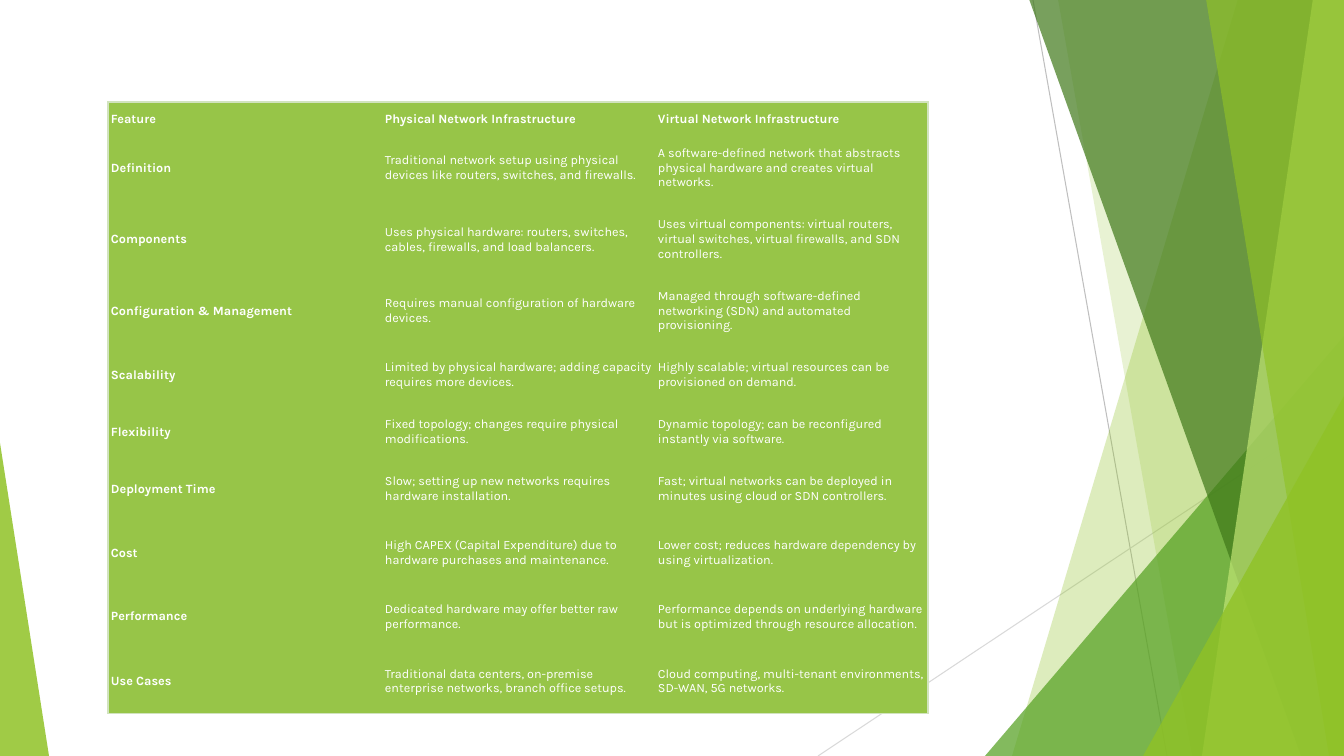
from lxml.etree import SubElement
from pptx import Presentation
from pptx.dml.color import RGBColor
from pptx.enum.shapes import MSO_CONNECTOR, MSO_SHAPE
from pptx.enum.text import MSO_ANCHOR
from pptx.oxml.ns import qn
from pptx.util import Pt

PX = 9071  # EMU per pixel, 100.8 pixels to the inch
W, H = 1344, 756
COLORS = {
    "lime": "90C226", "green": "54A021", "forest": "3F7819", "pale": "C0E474",
    "cell": "97C548", "border": "D1E3BE", "text": "FFFFFF",
    "grey": "BFBFBF", "light_grey": "D9D9D9",
}


def put_text(cell, text, size=9, bold=False, color="text", font="Karla"):
    tf = cell.text_frame
    tf.word_wrap = True
    r = tf.paragraphs[0].add_run()
    r.text = text
    r.font.size, r.font.bold, r.font.name = Pt(size), bold, font
    r.font.color.rgb = RGBColor.from_string(COLORS[color])


def paint(sp, color, opacity):
    sp.shadow.inherit = False
    sp.fill.solid()
    sp.fill.fore_color.rgb = RGBColor.from_string(COLORS[color])
    clr = sp.fill._xPr.find(qn("a:solidFill"))[0]
    SubElement(clr, qn("a:alpha"), val=str(opacity * 1000))
    sp.line.fill.background()


prs = Presentation()
prs.slide_width, prs.slide_height = W * PX, H * PX
s = prs.slides.add_slide(prs.slide_layouts[6])

# Thin lines
for x1, y1, x2, y2, color in [(1033, 0, 1167, H, "grey"),
                              (W, 406, 818, H, "light_grey")]:
    line = s.shapes.add_connector(MSO_CONNECTOR.STRAIGHT, x1 * PX, y1 * PX, x2 * PX, y2 * PX)
    line.line.width = Pt(0.75)
    line.line.color.rgb = RGBColor.from_string(COLORS[color])
    SubElement(line._element.spPr, qn("a:effectLst"))

# Facets: a band runs from its top-left and bottom-left x to the right edge,
# a triangle has left, top, width, height and the place of its tip
facets = [
    ("band", (1238, 1012), "lime", 30),
    ("band", (1058, 1192), "lime", 20),
    ("triangle", (985, 336, 359, 420, 1), "green", 72),
    ("band", (1029, 1301), "forest", 70),
    ("band", (1313, 1202), "pale", 70),
    ("band", (1206, 1329), "lime", 65),
    ("triangle", (1143, 396, 201, 360, 1), "lime", 80),
    ("triangle", (0, 443, 49, 313, 0), "lime", 85),
]
for kind, geometry, color, opacity in facets:
    if kind == "band":
        top_x, bottom_x = geometry
        fb = s.shapes.build_freeform(top_x, -1, scale=PX)
        fb.add_line_segments([(W, -1), (W, H), (bottom_x, H)], close=True)
        sp = fb.convert_to_shape()
    else:
        *box, tip = geometry
        sp = s.shapes.add_shape(MSO_SHAPE.ISOSCELES_TRIANGLE, *(v * PX for v in box))
        sp.adjustments[0] = tip
    paint(sp, color, opacity)

# Comparison table
rows = [
    ("Feature", "Physical Network Infrastructure", "Virtual Network Infrastructure"),
    ("Definition",
     "Traditional network setup using physical devices like routers, switches, and firewalls.",
     "A software-defined network that abstracts physical hardware and creates virtual networks."),
    ("Components",
     "Uses physical hardware: routers, switches, cables, firewalls, and load balancers.",
     "Uses virtual components: virtual routers, virtual switches, virtual firewalls, and SDN controllers."),
    ("Configuration & Management",
     "Requires manual configuration of hardware devices.",
     "Managed through software-defined networking (SDN) and automated provisioning."),
    ("Scalability",
     "Limited by physical hardware; adding capacity requires more devices.",
     "Highly scalable; virtual resources can be provisioned on demand."),
    ("Flexibility",
     "Fixed topology; changes require physical modifications.",
     "Dynamic topology; can be reconfigured instantly via software."),
    ("Deployment Time",
     "Slow; setting up new networks requires hardware installation.",
     "Fast; virtual networks can be deployed in minutes using cloud or SDN controllers."),
    ("Cost",
     "High CAPEX (Capital Expenditure) due to hardware purchases and maintenance.",
     "Lower cost; reduces hardware dependency by using virtualization."),
    ("Performance",
     "Dedicated hardware may offer better raw performance.",
     "Performance depends on underlying hardware but is optimized through resource allocation."),
    ("Use Cases",
     "Traditional data centers, on-premise enterprise networks, branch office setups.",
     "Cloud computing, multi-tenant environments, SD-WAN, 5G networks."),
]
heights = [34, 64, 79, 64, 64, 50, 64, 64, 64, 65]
widths = [274, 273, 273]
tbl = s.shapes.add_table(len(rows), len(widths), 108 * PX, 102 * PX,
                         sum(widths) * PX, sum(heights) * PX).table
tbl.first_row = tbl.horz_banding = False
for col, width in zip(tbl.columns, widths):
    col.width = width * PX
for i, (texts, height) in enumerate(zip(rows, heights)):
    tbl.rows[i].height = height * PX
    for j, text in enumerate(texts):
        cell = tbl.cell(i, j)
        cell.margin_left = cell.margin_right = 3 * PX
        cell.margin_top = cell.margin_bottom = 1 * PX
        cell.vertical_anchor = MSO_ANCHOR.MIDDLE
        put_text(cell, text, bold=i == 0 or j == 0)
        # Only the outer edges of the table carry a border
        outer = {"L": j == 0, "R": j == len(widths) - 1,
                 "T": i == 0, "B": i == len(rows) - 1}
        tcPr = cell._tc.get_or_add_tcPr()
        for side, drawn in outer.items():
            ln = SubElement(tcPr, qn("a:ln" + side), w=str(Pt(1)))
            if drawn:
                SubElement(SubElement(ln, qn("a:solidFill")), qn("a:srgbClr"), val=COLORS["border"])
            else:
                SubElement(ln, qn("a:noFill"))
        cell.fill.solid()
        cell.fill.fore_color.rgb = RGBColor.from_string(COLORS["cell"])

prs.save("out.pptx")
